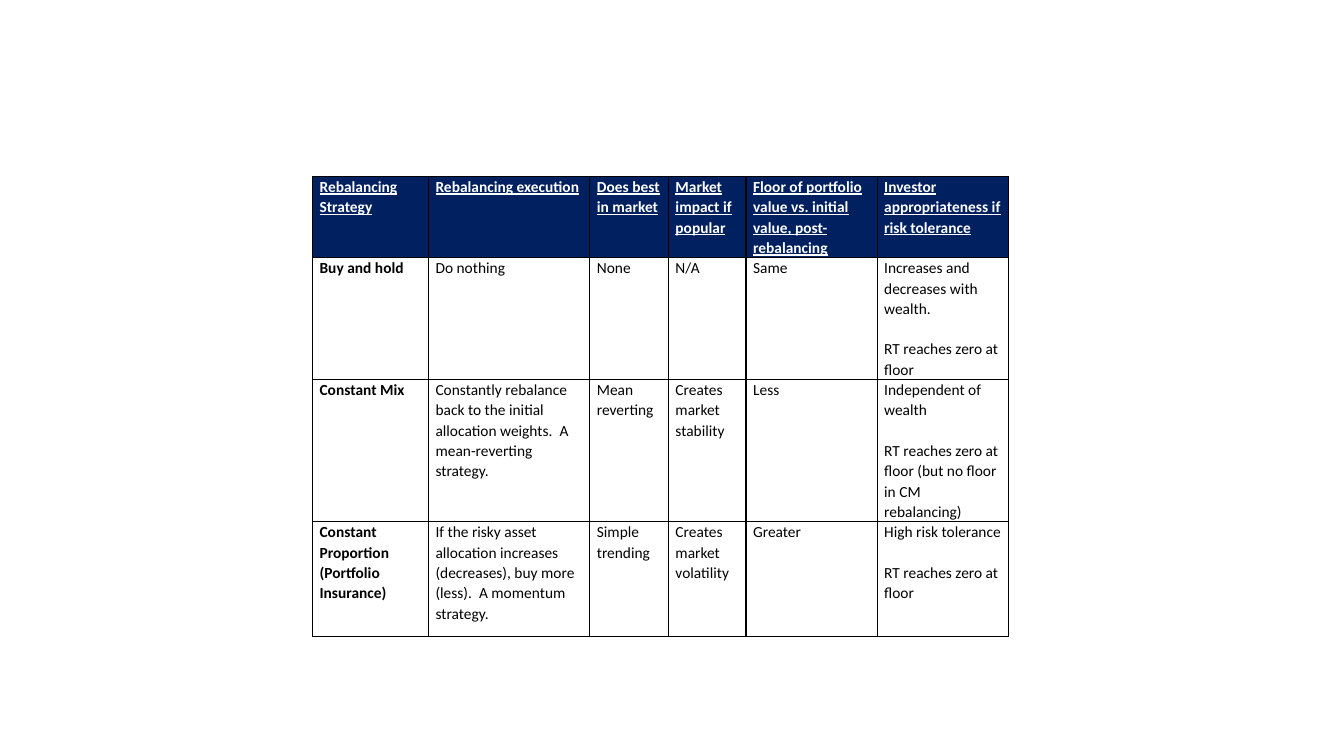
from dataclasses import dataclass

from lxml import etree
from pptx import Presentation
from pptx.dml.color import RGBColor
from pptx.oxml.ns import qn
from pptx.util import Inches, Pt

BORDER_TAGS = ("a:lnL", "a:lnR", "a:lnT", "a:lnB")


@dataclass(frozen=True)
class Theme:
    font: str = "Calibri"
    size: float = 11
    line_spacing: float = 1.07
    paragraph_gap: float = 14.4
    header_fill: str = "002060"
    header_text: str = "FFFFFF"
    body_text: str = "000000"
    border: str = "000000"
    border_width: float = 1
    inset: float = 0.07


@dataclass(frozen=True)
class Strategy:
    name: str
    execution: str
    best_market: str
    impact: str
    floor: str
    investor: str
    height: float

    def texts(self) -> tuple[str, ...]:
        return (self.name, self.execution, self.best_market,
                self.impact, self.floor, self.investor)


THEME = Theme()
LEFT, TOP = 3.1, 1.75
COLUMN_WIDTHS = (1.15, 1.6, 0.78, 0.77, 1.3, 1.3)

# Table content, header first
ROWS = (
    Strategy("Rebalancing Strategy", "Rebalancing execution", "Does best in market",
             "Market impact if popular",
             "Floor of portfolio value vs. initial value, post-rebalancing",
             "Investor appropriateness if risk tolerance", 0.8),
    Strategy("Buy and hold", "Do nothing", "None", "N/A", "Same",
             "Increases and decreases with wealth.\nRT reaches zero at floor", 1.14),
    Strategy("Constant Mix",
             "Constantly rebalance back to the initial allocation weights.  "
             "A mean-reverting strategy.",
             "Mean reverting", "Creates market stability", "Less",
             "Independent of wealth\n"
             "RT reaches zero at floor (but no floor in CM rebalancing)", 1.33),
    Strategy("Constant Proportion (Portfolio Insurance)",
             "If the risky asset allocation increases (decreases), buy more (less).  "
             "A momentum strategy.",
             "Simple trending", "Creates market volatility", "Greater",
             "High risk tolerance\nRT reaches zero at floor", 1.14),
)


def add_borders(cell) -> None:
    tcPr = cell._tc.get_or_add_tcPr()
    for tag in BORDER_TAGS:
        ln = etree.SubElement(tcPr, qn(tag), w=str(Pt(THEME.border_width)))
        fill = etree.SubElement(ln, qn("a:solidFill"))
        etree.SubElement(fill, qn("a:srgbClr"), val=THEME.border)


def format_cell(cell, text: str, header: bool, bold: bool) -> None:
    add_borders(cell)
    if header:
        cell.fill.solid()
        cell.fill.fore_color.rgb = RGBColor.from_string(THEME.header_fill)
    else:
        cell.fill.background()
    cell.margin_left = cell.margin_right = Inches(THEME.inset)
    cell.margin_top = cell.margin_bottom = 0

    tf = cell.text_frame
    tf.text = text
    color = THEME.header_text if header else THEME.body_text
    for i, p in enumerate(tf.paragraphs):
        p.line_spacing = THEME.line_spacing
        p.space_before = Pt(THEME.paragraph_gap if i else 0)
        for r in p.runs:
            r.font.name = THEME.font
            r.font.size = Pt(THEME.size)
            r.font.bold = bold
            r.font.underline = header
            r.font.color.rgb = RGBColor.from_string(color)


def add_strategy_table(s) -> None:
    width = sum(COLUMN_WIDTHS)
    height = sum(row.height for row in ROWS)
    table = s.shapes.add_table(len(ROWS), len(COLUMN_WIDTHS), Inches(LEFT), Inches(TOP),
                               Inches(width), Inches(height)).table
    table.first_row = table.horz_banding = False
    for column, column_width in zip(table.columns, COLUMN_WIDTHS):
        column.width = Inches(column_width)
    for i, strategy in enumerate(ROWS):
        table.rows[i].height = Inches(strategy.height)
        for j, text in enumerate(strategy.texts()):
            format_cell(table.cell(i, j), text, header=i == 0, bold=i == 0 or j == 0)


def main() -> None:
    prs = Presentation()
    prs.slide_width, prs.slide_height = Inches(13.33), Inches(7.5)
    s = prs.slides.add_slide(prs.slide_layouts[6])
    add_strategy_table(s)
    prs.save("out.pptx")


if __name__ == "__main__":
    main()
